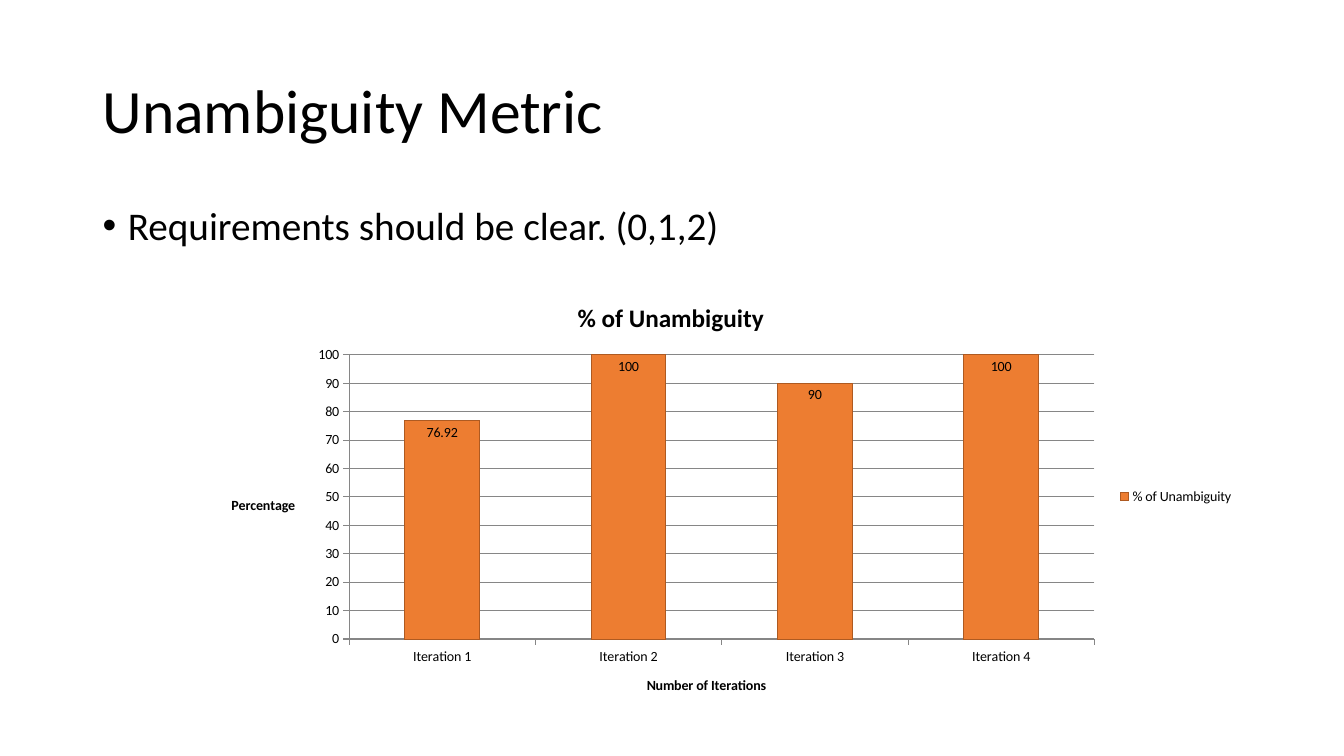
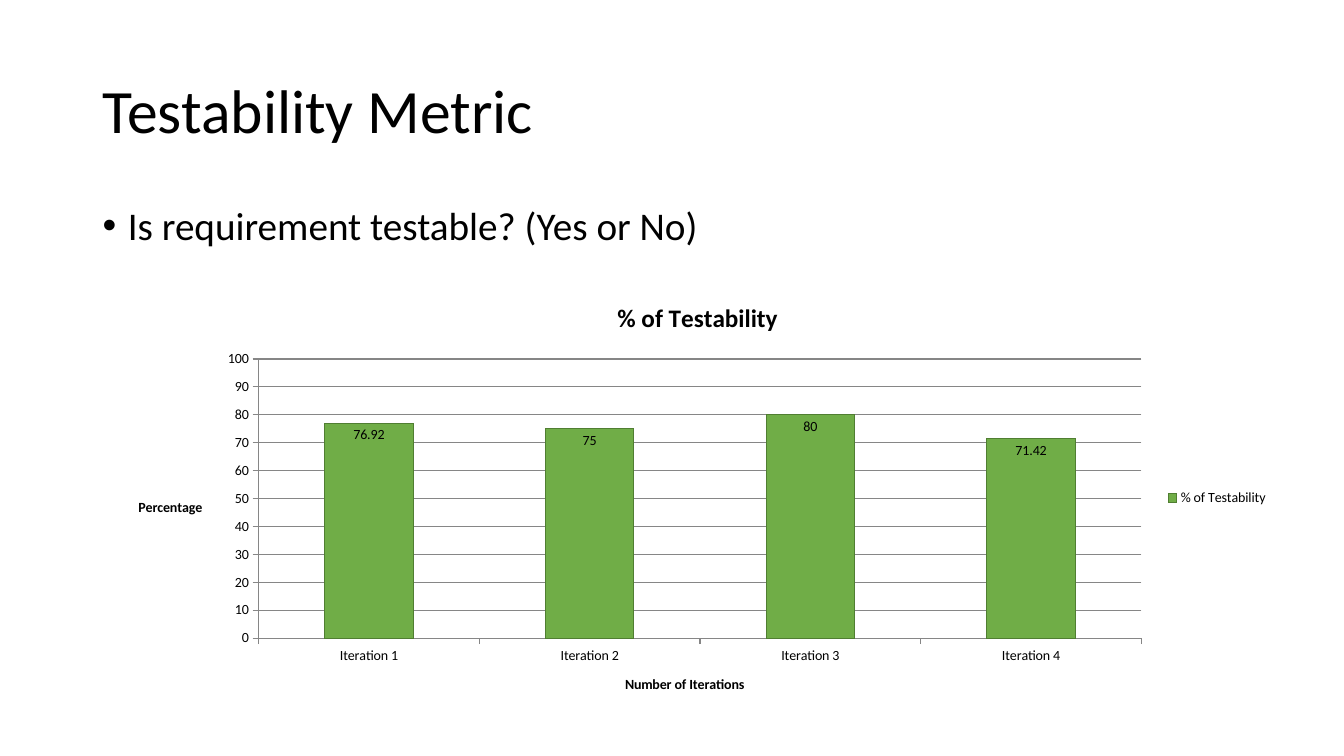
from lxml import etree
from pptx import Presentation
from pptx import util as u
from pptx.chart.data import CategoryChartData
from pptx.dml.color import RGBColor
from pptx.enum import chart as ch, text
from pptx.oxml.ns import qn

BLACK = RGBColor(0, 0, 0)
GREY = RGBColor(0x86, 0x86, 0x86)
ORANGE = RGBColor(0xED, 0x7D, 0x31)
RUST = RGBColor(0xAE, 0x5A, 0x21)
GREEN = RGBColor(0x70, 0xAD, 0x47)
MOSS = RGBColor(0x50, 0x7E, 0x32)


def place(node, spot, **values):
    """Give a chart part a manual layout, as fractions of the chart."""
    for old in node.findall(qn("c:layout")):
        node.remove(old)
    layout = etree.Element(qn("c:layout"))
    manual = etree.SubElement(layout, qn("c:manualLayout"))
    for key, value in values.items():
        if isinstance(value, float):
            value = f"{value:.3f}"
        etree.SubElement(manual, qn("c:" + key)).set("val", value)
    node.insert(spot, layout)


class Deck:
    face = "Calibri"

    def __init__(self):
        self.prs = Presentation()
        self.prs.slide_width = u.Inches(13.33)
        self.prs.slide_height = u.Inches(7.5)

    def page(self):
        self.slide = self.prs.slides.add_slide(self.prs.slide_layouts[6])

    def style(self, font, size, bold=False):
        look = {"name": self.face, "size": u.Pt(size), "bold": bold}
        for key, value in look.items():
            setattr(font, key, value)
        font.color.rgb = BLACK

    def line(self, words, top, tall, size, anchor):
        box = self.slide.shapes.add_textbox(
            u.Inches(0.92), u.Inches(top), u.Inches(11.5), u.Inches(tall))
        frame = box.text_frame
        frame.word_wrap = True
        frame.vertical_anchor = anchor
        para = frame.paragraphs[0]
        para.line_spacing = 0.9
        run = para.add_run()
        run.text = words
        self.style(run.font, size)
        return para

    def title(self, words):
        self.line(words, 0.4, 1.45, 44, text.MSO_ANCHOR.MIDDLE)

    def bullet(self, words):
        para = self.line(words, 2, 4.76, 28, text.MSO_ANCHOR.TOP)
        para.space_before = u.Pt(10)
        props = para._p.get_or_add_pPr()
        props.set("marL", str(u.Inches(0.25)))
        props.set("indent", str(-u.Inches(0.25)))
        etree.SubElement(props, qn("a:buFont")).set("typeface", "Arial")
        etree.SubElement(props, qn("a:buChar")).set("char", "•")

    def label(self, owner, words, size):
        frame = owner.text_frame
        frame.text = words
        self.style(frame.paragraphs[0].runs[0].font, size, True)
        return frame

    def chart(self, name, values, box, sides, fill, edge, head=None):
        data = CategoryChartData()
        data.categories = [f"Iteration {n}" for n in range(1, 5)]
        data.add_series(name, values)
        chart = self.slide.shapes.add_chart(
            ch.XL_CHART_TYPE.COLUMN_CLUSTERED,
            *map(u.Inches, box), data).chart
        self.style(chart.font, 10)

        # Title and legend
        chart.has_title = True
        self.label(chart.chart_title, name, 18)
        if head:
            place(chart.chart_title._element, 1, xMode="edge", yMode="edge",
                  x=head[0], y=head[1])
        chart.has_legend = True
        chart.legend.position = ch.XL_LEGEND_POSITION.RIGHT
        chart.legend.include_in_layout = False

        # Axes
        cat, val = chart.category_axis, chart.value_axis
        for axis, words in ((cat, "Number of Iterations"),
                            (val, "Percentage")):
            frame = self.label(axis.axis_title, words, 10)
            axis.format.line.color.rgb = GREY
        frame._txBody.bodyPr.set("rot", "0")
        scale = {"minimum_scale": 0, "maximum_scale": 100, "major_unit": 10}
        for key, value in scale.items():
            setattr(val, key, value)
        val.major_gridlines.format.line.color.rgb = GREY

        # Columns and their values
        plot = chart.plots[0]
        plot.vary_by_categories = False
        plot.gap_width = 150
        bars = plot.series[0].format
        bars.fill.solid()
        bars.fill.fore_color.rgb = fill
        bars.line.color.rgb = edge
        plot.has_data_labels = True
        tags = plot.data_labels
        tags.show_value = True
        tags.position = ch.XL_LABEL_POSITION.INSIDE_END
        self.style(tags.font, 10)

        # Plot area, inset from the chart's edges
        wide, tall = box[2:]
        left, right = sides
        top, low = 0.76, 0.75
        area = chart._chartSpace.find(".//" + qn("c:plotArea"))
        place(area, 0, layoutTarget="inner", xMode="edge", yMode="edge",
              x=left / wide, y=top / tall,
              w=(wide - left - right) / wide, h=(tall - top - low) / tall)


def main():
    deck = Deck()

    # Unambiguity
    deck.page()
    deck.title("Unambiguity Metric")
    deck.bullet("Requirements should be clear. (0,1,2)")
    deck.chart("% of Unambiguity", (76.92, 100, 90, 100),
               (2.1, 2.76, 10.24, 4.33), (1.36, 1.49), ORANGE, RUST,
               head=(0.35, 0.04))

    # Testability
    deck.page()
    deck.title("Testability Metric")
    deck.bullet("Is requirement testable? (Yes or No)")
    deck.chart("% of Testability", (76.92, 75, 80, 71.42),
               (1.16, 2.8, 11.52, 4.28), (1.4, 1.37), GREEN, MOSS)

    deck.prs.save("out.pptx")


if __name__ == "__main__":
    main()
